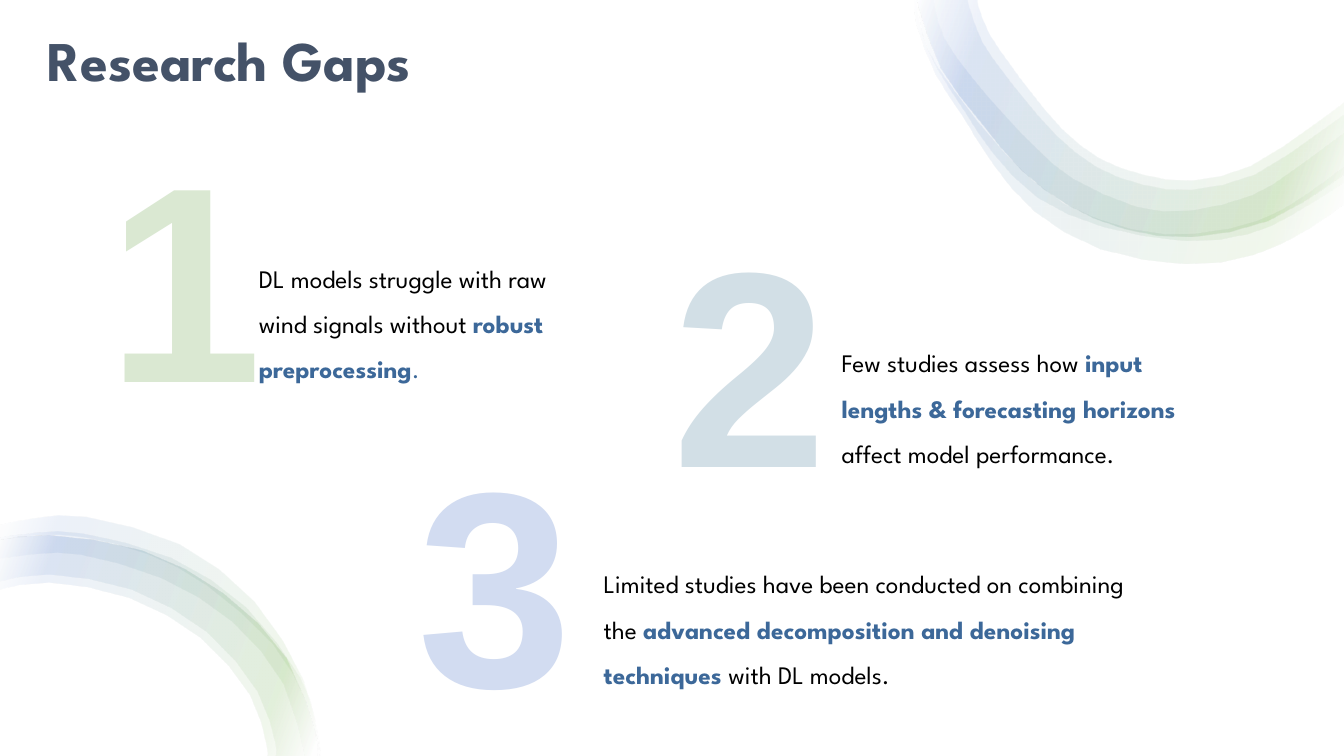
from lxml import etree
from pptx import Presentation
from pptx import util as u
from pptx.dml.color import RGBColor
from pptx.enum import text
from pptx.oxml import ns

COLUMNS, ROWS = 1333, 750
WIDTH, HEIGHT = u.Inches(13.333), u.Inches(7.5)
HEADING_FONT, NUMERAL_FONT = "League Spartan", "Arial"
BLACK, ACCENT = "000000", "3C6899"
GRADIENT = [(2, "FFFFFF"), (16, "70AD47"), (85, "4472C4"), (100, "FFFFFF")]
OPACITY, ANGLE = 10, 200
CURVE_STEPS = 2

TOP_EDGE = [(911, 0), (911, 7), (933, 68), (973, 122), (1013, 169), (1060, 204),
            (1115, 227), (1181, 235), (1257, 219), (1321, 181), (1333, 171)]
BOTTOM_EDGE = [(316, 750), (314, 732), (284, 653), (222, 589), (141, 546),
               (49, 531), (0, 536)]
TOP_RIBBON = [
    ([(907, 0), (909, 25), (928, 74), (956, 117), (984, 161), (1026, 209),
      (1091, 246), (1176, 261), (1243, 252), (1295, 228), (1333, 202)],
     [(1333, 165), (1293, 194), (1248, 218), (1185, 231), (1125, 227), (1055, 201),
      (997, 152), (948, 92), (920, 49), (910, 12), (910, 0)]),
    ([(911, 0), (915, 34), (930, 69), (957, 111), (985, 152), (1029, 196),
      (1094, 225), (1177, 239), (1238, 232), (1280, 214), (1333, 181)],
     [(1333, 132), (1281, 170), (1241, 194), (1180, 209), (1127, 205), (1064, 177),
      (1029, 148), (996, 114), (964, 77), (937, 39), (927, 7), (927, 0)]),
    (TOP_EDGE,
     [(1333, 113), (1308, 131), (1244, 173), (1181, 188), (1133, 183), (1088, 166),
      (1048, 135), (1013, 95), (995, 72), (974, 42), (961, 7), (960, 0)]),
    (TOP_EDGE,
     [(1333, 101), (1302, 124), (1239, 165), (1181, 179), (1133, 173), (1090, 157),
      (1053, 128), (1021, 90), (1003, 66), (981, 34), (970, 6), (970, 0)]),
]
BOTTOM_RIBBON = [
    (BOTTOM_EDGE,
     [(0, 585), (49, 578), (128, 593), (199, 633), (248, 690), (264, 739), (265, 750)]),
    (BOTTOM_EDGE,
     [(0, 577), (49, 570), (131, 585), (205, 627), (255, 686), (273, 738), (273, 750)]),
    ([(316, 750), (311, 712), (297, 672), (244, 603), (170, 554), (83, 530),
      (38, 529), (0, 534)],
     [(0, 555), (39, 550), (81, 551), (160, 574), (230, 617), (281, 679), (302, 750)]),
    ([(317, 750), (316, 738), (300, 674), (252, 597), (178, 540), (86, 513),
      (37, 514), (0, 521)],
     [(0, 536), (39, 531), (83, 533), (147, 550), (205, 581), (270, 639),
      (303, 696), (314, 738), (314, 750)]),
]
GAPS = [
    ("1", "DAE8D2", (97, 98), (247, 241, 317),
     [("DL models struggle with raw wind signals without ", BLACK, False),
      ("robust preprocessing", ACCENT, True), (".", ACCENT, False)]),
    ("3", "D2DCF1", (404, 401), (589, 544, 565),
     [("Limited studies have been conducted on combining the ", BLACK, False),
      ("advanced decomposition and denoising techniques ", ACCENT, True),
      ("with DL models.", BLACK, False)]),
    ("2", "D2DFE6", (657, 182), (825, 325, 403),
     [("Few studies assess how ", BLACK, False),
      ("input lengths & forecasting horizons ", ACCENT, True),
      ("affect model performance.", BLACK, False)]),
]


def color(value):
    """Turn a hex string into a colour."""
    return RGBColor.from_string(value)


def across(columns):
    """Length of a number of grid columns."""
    return u.Emu(round(columns * WIDTH / COLUMNS))


def down(rows):
    """Length of a number of grid rows."""
    return u.Emu(round(rows * HEIGHT / ROWS))


def smooth_edge(points):
    """Run a Catmull-Rom curve through the points of one ribbon edge."""
    padded = [points[0], *points, points[-1]]
    curve = [points[0]]
    for before, start, end, after in zip(padded, padded[1:], padded[2:], padded[3:]):
        for step in range(1, CURVE_STEPS + 1):
            t = step / CURVE_STEPS
            curve.append(tuple(
                b + ((c - a) * t + (2 * a - 5 * b + 4 * c - d) * t ** 2
                     + (3 * b - a - 3 * c + d) * t ** 3) / 2
                for a, b, c, d in zip(before, start, end, after)))
    return curve


def fill_translucent_gradient(shape):
    """Give a shape the see-through ribbon gradient."""
    gradient = etree.Element(ns.qn("a:gradFill"), rotWithShape="1")
    stops = etree.SubElement(gradient, ns.qn("a:gsLst"))
    for position, value in GRADIENT:
        stop = etree.SubElement(stops, ns.qn("a:gs"), pos=str(position * 1000))
        tint = etree.SubElement(stop, ns.qn("a:srgbClr"), val=value)
        etree.SubElement(tint, ns.qn("a:alpha"), val=str(OPACITY * 1000))
    etree.SubElement(gradient, ns.qn("a:lin"), ang=str(ANGLE * 60000), scaled="0")
    shape._element.spPr.find(ns.qn("a:custGeom")).addnext(gradient)


def add_ribbon(slide, bands):
    """Draw a ribbon as a group of overlapping curved bands."""
    group = slide.shapes.add_group_shape()
    for outer, inner in bands:
        outline = [(across(x), down(y)) for x, y in smooth_edge(outer) + smooth_edge(inner)]
        builder = group.shapes.build_freeform(*outline[0])
        builder.add_line_segments(outline[1:], close=True)
        band = builder.convert_to_shape()
        band.shadow.inherit = False
        band.line.fill.background()
        fill_translucent_gradient(band)


def add_text(slide, left, top, width, height, runs, size, font=HEADING_FONT,
             spacing=1.0, wrap=True):
    """Add a one-paragraph text box built run by run."""
    box = slide.shapes.add_textbox(across(left), down(top), across(width), down(height))
    frame = box.text_frame
    frame.word_wrap = wrap
    paragraph = frame.paragraphs[0]
    paragraph.line_spacing = spacing
    for words, value, bold in runs:
        run = paragraph.add_run()
        run.text = words
        run.font.name = font
        run.font.size = u.Pt(size)
        run.font.bold = bold
        run.font.color.rgb = color(value)
    return frame


def add_title(slide, words):
    """Add the slide title, standing on the bottom of its box."""
    frame = add_text(slide, 0, -2, 911, 99, [(words, "445268", True)], 40, spacing=0.9)
    frame.vertical_anchor = text.MSO_ANCHOR.BOTTOM
    frame.margin_left, frame.margin_right = across(47), across(7)
    frame.margin_top = frame.margin_bottom = down(4)


def add_gap(slide, numeral, tint, corner, place, runs):
    """Add one research gap: a large numeral and its statement."""
    frames = [
        add_text(slide, *corner, 175, 345, [(numeral, tint, True)], 199,
                 font=NUMERAL_FONT, wrap=False),
        add_text(slide, *place, 141, runs, 18, spacing=1.5),
    ]
    for frame in frames:
        frame.auto_size = text.MSO_AUTO_SIZE.SHAPE_TO_FIT_TEXT


def main():
    """Build the research gaps slide."""
    presentation = Presentation()
    presentation.slide_width, presentation.slide_height = WIDTH, HEIGHT
    slide = presentation.slides.add_slide(presentation.slide_layouts[6])
    slide.background.fill.solid()
    slide.background.fill.fore_color.rgb = color("FFFFFF")
    for bands in (TOP_RIBBON, BOTTOM_RIBBON):
        add_ribbon(slide, bands)
    add_title(slide, "Research Gaps")
    for gap in GAPS:
        add_gap(slide, *gap)
    presentation.save("out.pptx")


if __name__ == "__main__":
    main()
